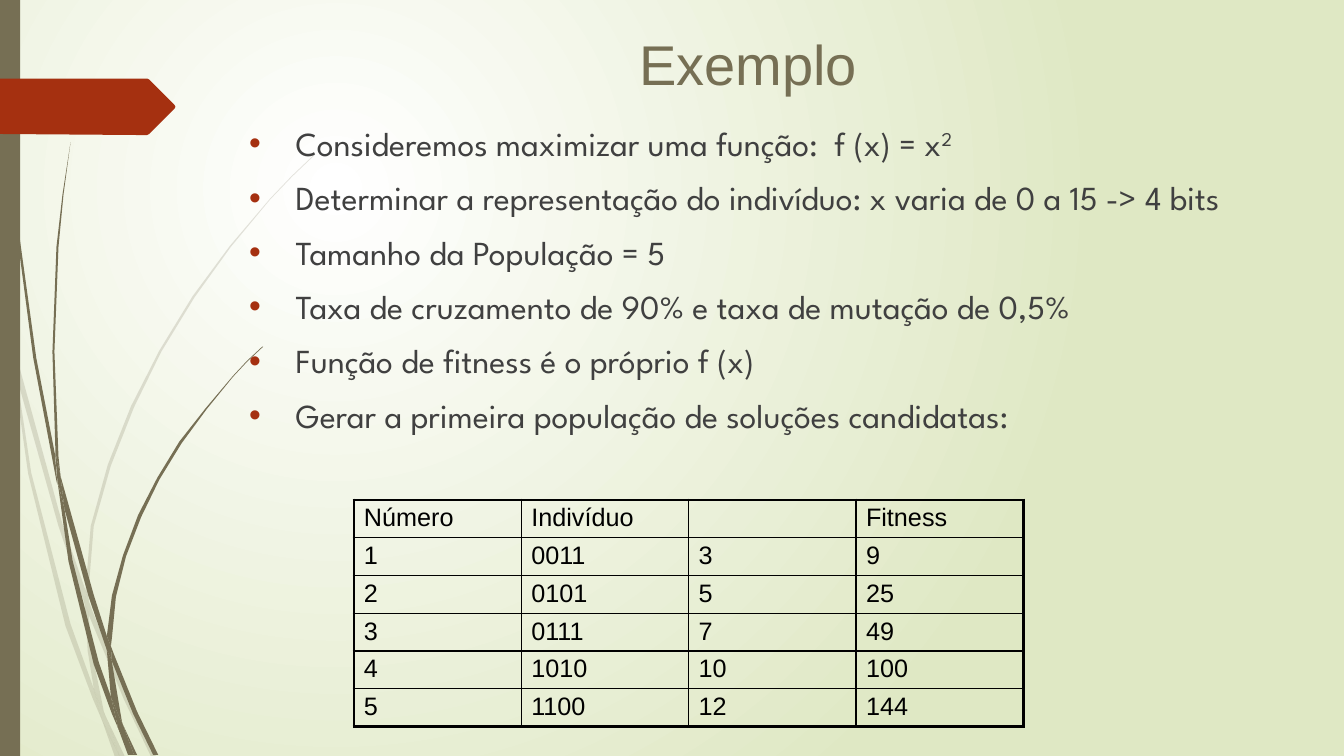
from pptx import Presentation
from pptx.dml.color import RGBColor
from pptx.enum.shapes import MSO_SHAPE
from pptx.enum.text import MSO_ANCHOR, MSO_AUTO_SIZE, PP_ALIGN
from pptx.oxml.ns import qn
from pptx.util import Inches, Pt
from lxml.etree import SubElement

PALE = [
    "0.11,3.5 0.09,3.22 0,2.82 0,2.99 0.1,3.44",
    "0.58,5.22 0.84,5.99 0.85,5.86 0.62,5.2 0.14,3.45 0.17,3.76",
    "0.92,6.07 0.88,5.96 0.88,6.1 1.23,6.94 1.5,7.51 1.55,7.51 1.27,6.92",
    "1.19,7.51 1.24,7.51 1.05,7.11",
    "0.93,6.83 0.7,6.19 0.31,4.69 0.17,3.76 0.11,3.5 0.28,4.7 0.65,6.21 0.92,6.93 1.01,7.14 0.99,7.07",
    "0.84,5.99 0.87,6.46 0.93,6.83 0.96,6.92 1.05,7.11 1.03,7.06 0.91,6.46 0.88,6.1 0.88,6.08",
    "0.88,5.84 0.93,5.22 1.1,4.62 1.33,4.04 1.6,3.49 1.93,2.95 2.29,2.45 2.68,1.98 2.9,1.75 3.12,1.54 "
    "3.12,1.53 2.89,1.75 2.68,1.97 2.28,2.44 1.91,2.94 1.58,3.48 1.3,4.03 1.07,4.61 0.9,5.22 0.85,5.84 "
    "0.85,5.86 0.88,5.96",
    "1.01,7.14 1.14,7.51 1.19,7.51",
    "0.88,6.08 0.88,6.1 0.88,5.96 0.85,5.86 0.84,5.99",
    "0.96,6.92 0.93,6.83 0.99,7.07 1.01,7.14 1.19,7.51 1.05,7.11",
]
DARK = [
    "0.07,1.1 0.17,2.33 0.33,3.55 0.56,4.77 0.57,4.81 0.55,4.57 0.55,4.53 0.36,3.55 0.19,2.32 0.08,1.09 "
    "0.05,0.48 0.04,0 0.03,0 0.04,0.48",
    "0.88,5.92 1.06,6.45 1.06,6.33 1.06,6.31 0.93,5.9 0.6,4.72 0.64,5.05",
    "1.13,6.49 1.1,6.41 1.11,6.56 1.32,7.08 1.52,7.49 1.57,7.49 1.36,7.06",
    "1.1,6.91 0.98,6.57 0.72,5.56 0.64,5.05 0.57,4.77 0.68,5.57 0.93,6.59 1.11,7.08 1.17,7.22 1.16,7.17",
    "0.6,4.72 0.58,4.53 0.54,3.49 0.58,2.45 0.63,1.93 0.7,1.41 0.62,1.93 0.56,2.45 0.52,3.49 0.55,4.49",
    "1.33,7.49 1.36,7.49 1.22,7.19",
    "0.57,4.77 0.64,5.05 0.6,4.72 0.55,4.49 0.55,4.53",
    "1.11,6.33 1.15,5.92 1.25,5.52 1.4,5.13 1.58,4.76 1.8,4.4 2.05,4.06 2.31,3.74 2.45,3.59 2.61,3.44 "
    "2.6,3.44 2.45,3.58 2.31,3.73 2.04,4.05 1.78,4.38 1.56,4.74 1.37,5.11 1.22,5.51 1.11,5.91 1.06,6.31 1.1,6.41",
    "1.17,7.22 1.27,7.49 1.31,7.49",
    "1.06,6.45 1.1,6.91 1.16,7.06 1.22,7.19 1.21,7.16 1.11,6.56 1.09,6.51",
    "1.06,6.45 1.09,6.51 1.11,6.56 1.1,6.41 1.06,6.31 1.06,6.33",
    "1.16,7.06 1.1,6.91 1.16,7.17 1.17,7.22 1.3,7.49 1.33,7.49 1.22,7.19",
]
FLAG = "1.73,1.08 1.48,1.33 1.46,1.34 1.36,1.34 0,1.33 0,0.78 1.46,0.78 1.48,0.79 1.73,1.04 1.74,1.06"
ITEMS = [
    " Consideremos maximizar uma função:  f (x) = x",
    " Determinar a representação do indivíduo: x varia de 0 a 15 -> 4 bits",
    " Tamanho da População = 5",
    " Taxa de cruzamento de 90% e taxa de mutação de 0,5%",
    " Função de fitness é o próprio f (x)",
    " Gerar a primeira população de soluções candidatas:",
]
ROWS = [
    ["Número", "Indivíduo", "", "Fitness"],
    ["1", "0011", "3", "9"],
    ["2", "0101", "5", "25"],
    ["3", "0111", "7", "49"],
    ["4", "1010", "10", "100"],
    ["5", "1100", "12", "144"],
]


def paint(shape, hue):
    shape.shadow.inherit = False
    shape.fill.solid()
    shape.fill.fore_color.rgb = RGBColor.from_string(hue)
    shape.line.fill.background()


def trace(shapes, text, hue):
    dots = [[Inches(float(n)) for n in pair.split(",")] for pair in text.split()]
    pen = shapes.build_freeform(*dots[0])
    pen.add_line_segments(dots[1:], close=True)
    shape = pen.convert_to_shape()
    paint(shape, hue)
    return shape


deck = Presentation()
deck.slide_width, deck.slide_height = Inches(13.33), Inches(7.5)
slide = deck.slides.add_slide(deck.slide_layouts[1])
title, body = slide.placeholders

back = slide.background.fill
back.gradient()
for stop, hue in zip(back.gradient_stops, ["FFFFFF", "DFE8C4"]):
    stop.color.rgb = RGBColor.from_string(hue)
for stop, place in zip(back.gradient_stops, [0, 1]):
    stop.position = place
grad = slide.element.find(".//" + qn("a:gradFill"))
grad.remove(grad.find(qn("a:lin")))
glow = SubElement(grad, qn("a:path"), path="circle")
SubElement(glow, qn("a:fillToRect"), l="50000", t="50000", r="100000", b="100000")

pale = slide.shapes.add_group_shape()
for blade in PALE:
    shape = trace(pale.shapes, blade, "766F54")
    tint = shape.element.find(".//" + qn("a:srgbClr"))
    SubElement(tint, qn("a:alpha"), val="20000")
dark = slide.shapes.add_group_shape()
for blade in DARK:
    trace(dark.shapes, blade, "766F54")
strip = slide.shapes.add_shape(MSO_SHAPE.RECTANGLE, 0, 0, Inches(0.2), Inches(7.5))
paint(strip, "766F54")
trace(slide.shapes, FLAG, "A53010")

slide.shapes.element.append(body.element)
body.left, body.top, body.width, body.height = map(Inches, (2.37, 1.17, 10.73, 3.71))
frame = body.text_frame
frame.text = "\n".join(ITEMS)
frame.auto_size = MSO_AUTO_SIZE.NONE
power = frame.paragraphs[0].add_run()
power.text = "2"
power.font._element.set("baseline", "30000")
for para in frame.paragraphs:
    para.space_before = Pt(10)
    props = para._p.get_or_add_pPr()
    props.set("marL", str(Inches(0.38)))
    props.set("indent", str(-Inches(0.38)))
    tint = SubElement(props, qn("a:buClr"))
    SubElement(tint, qn("a:srgbClr"), val="A53010")
    SubElement(props, qn("a:buFont"), typeface="Arial")
    SubElement(props, qn("a:buChar"), char="•")
    for run in para.runs:
        run.font.size = Pt(24)
        run.font.name = "League Spartan"
        run.font.color.rgb = RGBColor.from_string("404040")

slide.shapes.element.append(title.element)
title.left, title.top, title.width, title.height = map(Inches, (3.17, 0, 8.5, 1.25))
frame = title.text_frame
frame.text = "Exemplo"
frame.auto_size = MSO_AUTO_SIZE.NONE
frame.vertical_anchor = MSO_ANCHOR.MIDDLE
para = frame.paragraphs[0]
para.alignment = PP_ALIGN.CENTER
font = para.runs[0].font
font.size = Pt(40)
font.name = "Arial"
font.color.rgb = RGBColor.from_string("766F54")

spot = map(Inches, (3.51, 4.96, 6.64, 2.25))
table = slide.shapes.add_table(len(ROWS), len(ROWS[0]), *spot).table
table.first_row = table.horz_banding = False
for r, row in enumerate(ROWS):
    for c, word in enumerate(row):
        cell = table.cell(r, c)
        cell.text = word
        cell.margin_top = cell.margin_bottom = Inches(0.04)
        font = cell.text_frame.paragraphs[0].font
        font.size = Pt(18)
        font.name = "Arial"
        font.color.rgb = RGBColor.from_string("000000")
        props = cell._tc.get_or_add_tcPr()
        edges = {"L": c == 0, "R": c == len(row) - 1, "T": r == 0, "B": r == len(ROWS) - 1}
        for side, outer in edges.items():
            edge = SubElement(props, qn("a:ln" + side), w=str(Pt(2.25 if outer else 1)))
            ink = SubElement(edge, qn("a:solidFill"))
            SubElement(ink, qn("a:srgbClr"), val="000000")
        cell.fill.background()

deck.save("out.pptx")
